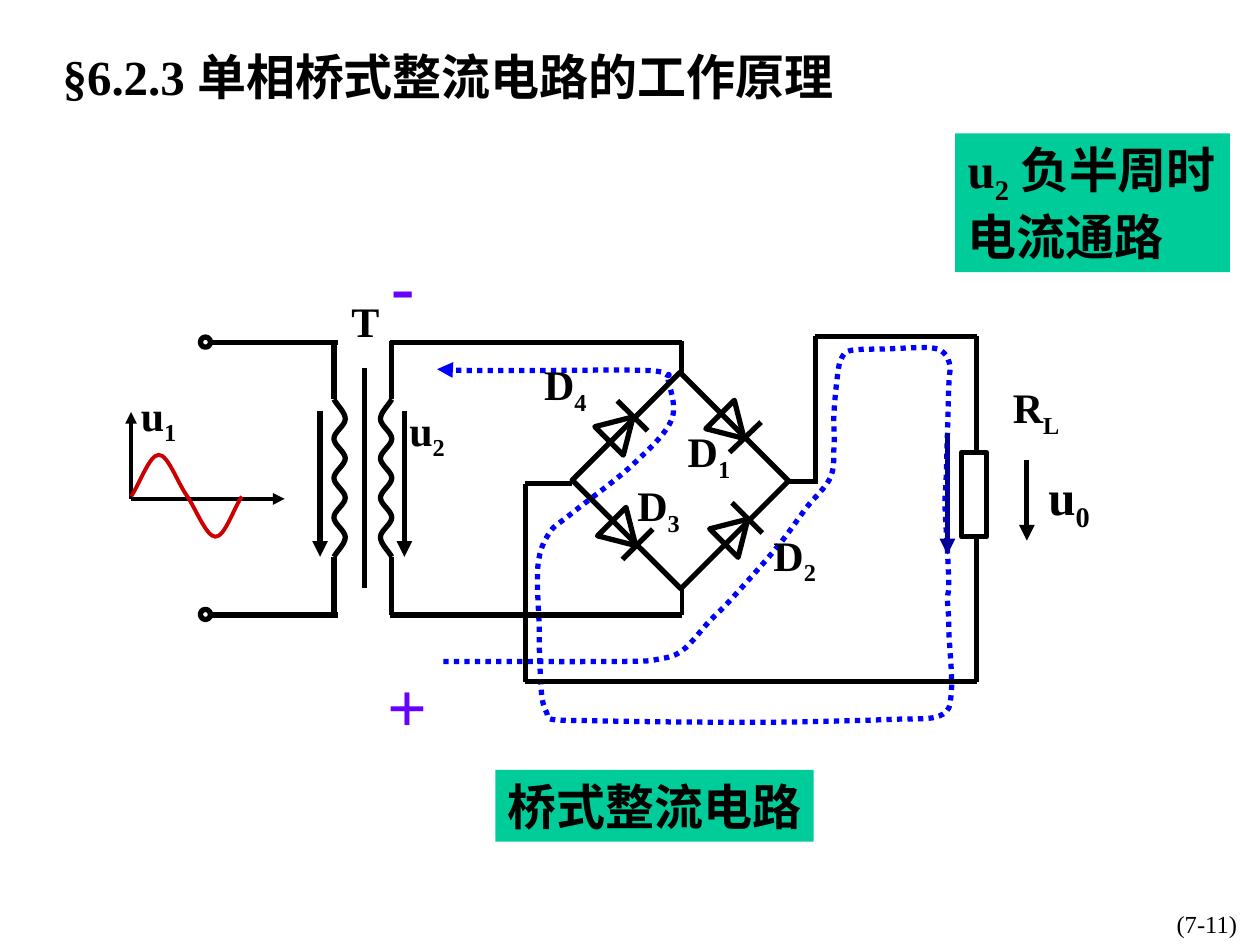
from itertools import pairwise

from lxml.etree import SubElement
from pptx import Presentation
from pptx.dml.color import RGBColor
from pptx.enum.dml import MSO_LINE
from pptx.enum.shapes import MSO_CONNECTOR, MSO_SHAPE as Preset
from pptx.enum.text import MSO_ANCHOR as Anchor, MSO_AUTO_SIZE as AutoSize, PP_ALIGN as Align
from pptx.oxml.ns import qn
from pptx.util import Pt

BLACK = RGBColor(0x00, 0x00, 0x00)
GREEN = RGBColor(0x00, 0xCC, 0x99)
VIOLET = RGBColor(0x66, 0x00, 0xFF)
BLUE = RGBColor(0x00, 0x00, 0xFF)
NAVY = RGBColor(0x00, 0x00, 0x99)
RED = RGBColor(0xCC, 0x00, 0x00)

LEFT, TOP_WIRE, BOTTOM_WIRE = 121, 195.8, 351.4
PRIMARY, SECONDARY, COIL_TOP, COIL_BOTTOM = 190.8, 223.9, 228.2, 318.2
BRIDGE, MINUS_X, PLUS_X, LOAD_X = 389.5, 300.2, 465.8, 558
LOAD_TOP, LOAD_BOTTOM = 192.2, 389.5

CURRENT = [
    (253.4, 378), (354.2, 378), (376.6, 376.6), (390.2, 371.5), (405.4, 355),
    (417.6, 342.7), (444.2, 312.5), (460.8, 290.2), (474.5, 272.9), (476.6, 254.2),
    (476.6, 235.4), (478.8, 213.1), (481, 204.5), (486.7, 200.2), (506.9, 199.4),
    (530.6, 198.7), (539.3, 201.6), (542.9, 209.5), (542.2, 220.3), (540.7, 272.2),
    (540, 288.7), (541.4, 314.6), (542.2, 334.8), (541.4, 342), (542.2, 354.2),
    (542.2, 360.7), (543.6, 396), (537.1, 409), (509, 411.1), (450, 412.6),
    (391, 412.6), (334.1, 411.8), (315.4, 411.1), (312.5, 407.5), (309.6, 397.4),
    (308.2, 370.8), (308.2, 360), (307.4, 323.3), (313.9, 304.6), (326.2, 293.8),
    (361.4, 265.7), (383.8, 239.8), (381.6, 216), (381.6, 214.6), (369.4, 211.7),
    (311, 211.7), (268.6, 211.7), (249.8, 211),
]
SINE = [(74.9, 283.7), (90.7, 259.9), (106.6, 283), (123.1, 306.7), (138.2, 283.7)]


class Circuit:
    """Draws circuit parts in one style on the current page."""

    latin, asian = "Times New Roman", "Noto Sans CJK SC"

    def __init__(self, page):
        self.page = page
        self.shapes = page.shapes

    def stroke(self, line, color, width, arrow=False):
        line.color.rgb = color
        line.width = Pt(width)
        if arrow:
            SubElement(line._get_or_add_ln(), qn("a:tailEnd"), type="triangle")

    def wire(self, *points, color=BLACK, width=3, arrow=False):
        for start, end in pairwise(points):
            wire = self.shapes.add_connector(
                MSO_CONNECTOR.STRAIGHT, *map(Pt, start), *map(Pt, end))
            self.stroke(wire.line, color, width, arrow)
            SubElement(wire._element.spPr, qn("a:effectLst"))

    def curve(self, knots, color=BLACK, width=3, arrow=False, dash=None):
        first, last = (tuple(2 * a - b for a, b in zip(end, inner))
                       for end, inner in ((knots[0], knots[1]), (knots[-1], knots[-2])))
        chain = [first, *knots, last]
        points = []
        for before, start, end, after in zip(chain, chain[1:], chain[2:], chain[3:]):
            points.append([Pt(s + (e - b) / 6) for b, s, e in zip(before, start, end)])
            points.append([Pt(e - (a - s) / 6) for s, e, a in zip(start, end, after)])
            points.append([Pt(e) for e in end])
        builder = self.shapes.build_freeform(*map(Pt, knots[0]))
        builder.add_line_segments(points, close=False)
        shape = builder.convert_to_shape()
        outline = next(shape._element.iter(qn("a:path")))
        segments = outline.findall(qn("a:lnTo"))
        for index in range(0, len(segments), 3):
            bezier = SubElement(outline, qn("a:cubicBezTo"))
            for segment in segments[index:index + 3]:
                bezier.append(segment[0])
                outline.remove(segment)
        shape.shadow.inherit = False
        shape.fill.background()
        if dash:
            shape.line.dash_style = dash
        self.stroke(shape.line, color, width, arrow)

    def outline(self, preset, area, angle=0):
        shape = self.shapes.add_shape(preset, *map(Pt, area))
        shape.rotation = angle
        shape.shadow.inherit = False
        shape.fill.background()
        self.stroke(shape.line, BLACK, 3)

    def diode(self, corner, angle, bar):
        self.wire(*bar)
        self.outline(Preset.ISOSCELES_TRIANGLE, (*corner, 23, 19.4), angle)

    def text(self, area, *parts, **style):
        self.letter(self.shapes.add_textbox(*map(Pt, area)), parts, **style)

    def panel(self, area, *parts, **style):
        shape = self.shapes.add_shape(Preset.RECTANGLE, *map(Pt, area))
        shape.shadow.inherit = False
        shape.fill.solid()
        shape.fill.fore_color.rgb = GREEN
        shape.line.fill.background()
        self.letter(shape, parts, **style)

    def letter(self, box, parts, size=24, color=BLACK, bold=True, wrap=True,
               align=Align.LEFT, anchor=Anchor.TOP, grow=True):
        frame = box.text_frame
        frame.word_wrap = wrap
        frame.vertical_anchor = anchor
        frame.auto_size = AutoSize.SHAPE_TO_FIT_TEXT if grow else AutoSize.NONE
        para = frame.paragraphs[0]
        para.alignment = align
        for index, part in enumerate(parts):
            span = para.add_run()
            span.text = part
            font = span.font
            font.size, font.bold = Pt(size), bold
            font.color.rgb = color
            font.name = self.asian if index == 2 else self.latin
            SubElement(font._element, qn("a:ea"), typeface=self.asian)
            if index == 1:
                font._element.set("baseline", "-25000")


def main():
    deck = Presentation()
    deck.slide_width, deck.slide_height = Pt(720), Pt(540)
    art = Circuit(deck.slides.add_slide(deck.slide_layouts[6]))
    middle = dict(wrap=False, align=Align.CENTER, anchor=Anchor.MIDDLE)

    art.text((564, 516, 150, 36), "(7-11)", size=14, bold=False, align=Align.RIGHT, grow=False)
    art.text((25.2, 23, 461.5, 41), "§6.2.3 单相桥式整流电路的工作原理", size=28, **middle)
    art.panel((283, 440, 182, 41), "桥式整流电路", size=28, wrap=False)
    art.text((216.7, 134.6, 27.4, 55.4), "-", size=40, color=VIOLET, **middle)
    art.text((214.6, 375.1, 36.7, 55.4), "+", size=40, color=VIOLET, **middle)

    art.curve(CURRENT, BLUE, arrow=True, dash=MSO_LINE.ROUND_DOT)
    art.wire((541.4, 247.7), (541.4, 316.8), color=NAVY, arrow=True)

    for y in (TOP_WIRE, BOTTOM_WIRE):
        art.wire((LEFT, y), (193, y))
        art.outline(Preset.OVAL, (114.5, y - 3.2, 5.8, 5.8))
        art.wire((SECONDARY - 1, y), (BRIDGE, y))
    for x, bulge in ((PRIMARY, 6.5), (SECONDARY, -6.5)):
        art.curve([(x + bulge * (step % 2), COIL_TOP + 11.25 * step) for step in range(9)])
        art.wire((x, TOP_WIRE - 0.7), (x, COIL_TOP))
        art.wire((x, COIL_BOTTOM), (x, BOTTOM_WIRE))
    art.wire((208.1, 210.2), (208.1, 336.2))

    art.wire((BRIDGE, TOP_WIRE - 0.7), (BRIDGE, 213.1))
    art.wire((BRIDGE, BOTTOM_WIRE), (BRIDGE, 336.2), width=2.25)
    art.outline(Preset.RECTANGLE, (344.9, 231.1, 87.8, 87.1), 45)
    art.diode((343.4, 235.4), 45, ((352.8, 229), (370.1, 246.2)))
    art.diode((409, 293.8), 45, ((418.3, 287.3), (435.6, 304.6)))
    art.diode((406.8, 234), 135, ((434.9, 241.2), (416.9, 258.5)))
    art.diode((344.9, 295.2), 135, ((373, 302.4), (355.7, 319.7)))

    art.wire((326.9, 276.5), (MINUS_X, 276.5), (MINUS_X, LOAD_BOTTOM),
             (LOAD_X, LOAD_BOTTOM), (LOAD_X, 306.7))
    art.wire((450, 275), (PLUS_X, 275))
    art.wire((PLUS_X, 276.5), (PLUS_X, LOAD_TOP), (LOAD_X, LOAD_TOP), (LOAD_X, 257))
    art.outline(Preset.RECTANGLE, (549.4, 258.5, 14.4, 48.2))

    for end in ((74.9, 235.4), (162.7, 285.1)):
        art.wire((74.9, 285.1), end, width=2.25, arrow=True)
    art.curve(SINE, RED, 2.25)
    for x, top, bottom in ((182.9, 234.7, 318.2), (231.1, 234.7, 318.2), (586.8, 262.8, 308.9)):
        art.wire((x, top), (x, bottom), arrow=True)

    art.text((193.7, 165.6, 30.2, 36), "T", wrap=False)
    for x, y, name, index in (
            (73.4, 218.9, "u", "1"), (226.8, 227.5, "u", "2"), (303.8, 201.6, "D", "4"),
            (434.9, 298.8, "D", "2"), (385.9, 239.8, "D", "1"), (357.1, 270.7, "D", "3"),
            (571.7, 214.6, "R", "L")):
        art.text((x, y, 43.9, 40.3), name, index)
    art.text((592, 263, 58, 45), "u", "0", size=28)
    art.panel((545.8, 76.3, 157, 79.2), "u", "2", " 负半周时电流通路", size=28)

    deck.save("out.pptx")


if __name__ == "__main__":
    main()
